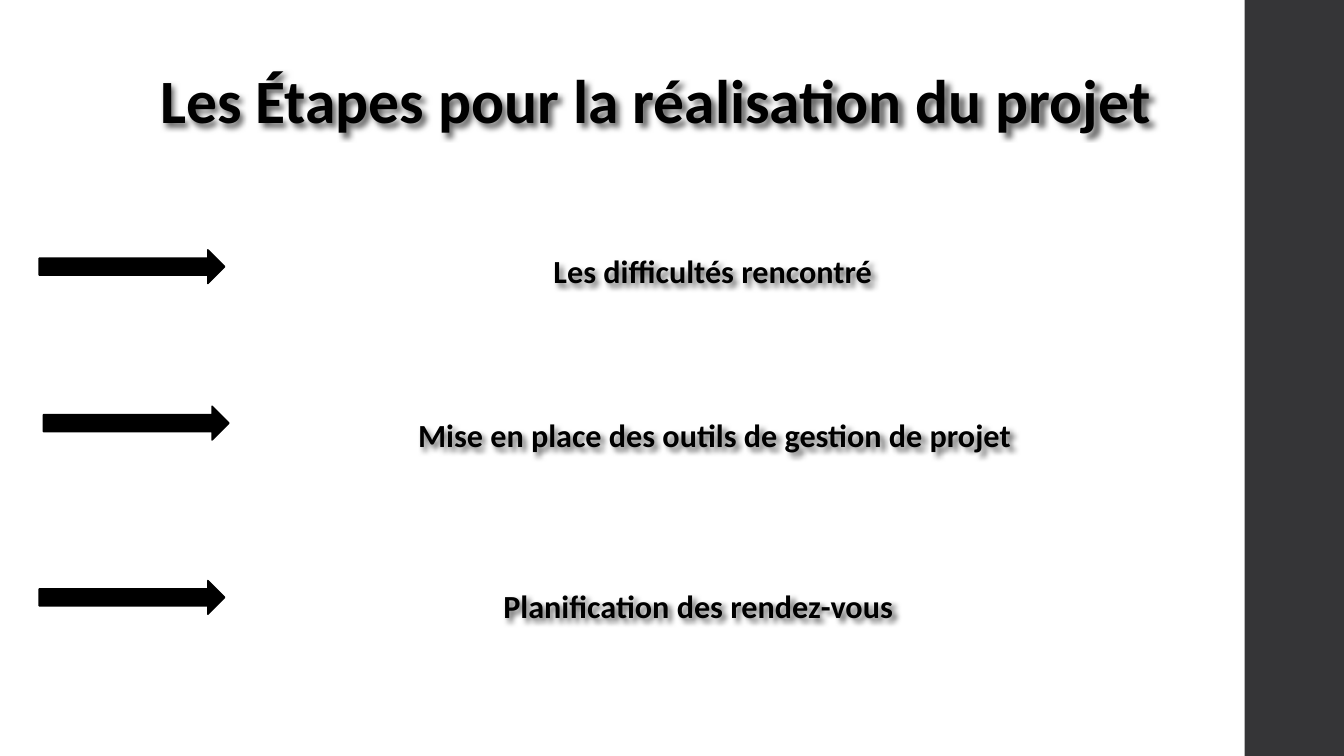
from lxml.etree import SubElement
from pptx import Presentation
from pptx.dml.color import RGBColor
from pptx.enum.shapes import MSO_SHAPE
from pptx.enum.text import MSO_ANCHOR, PP_ALIGN
from pptx.oxml.ns import qn
from pptx.util import Pt

BLACK = "000000"
STEPS = [
    ("Les difficultés rencontré", (28, 178.5), (170.6, 172.8, 674.6), 1.1),
    ("Mise en place des outils de gestion de projet", (31, 290.2), (172.1, 290.2, 674.6), 1.1),
    ("Planification des rendez-vous", (28, 414.7), (195.1, 414.7, 604.8), 1),
]


def color(value):
    return RGBColor.from_string(value)


def add_soft_shadow(box):
    effects = SubElement(box._element.spPr, qn("a:effectLst"))
    shadow = SubElement(effects, qn("a:outerShdw"), blurRad=str(Pt(4)),
                        dist=str(Pt(3)), dir="2700000", algn="tl", rotWithShape="0")
    tint = SubElement(shadow, qn("a:srgbClr"), val=BLACK)
    SubElement(tint, qn("a:alpha"), val="60000")


def add_solid(page, kind, left, top, width, height, fill):
    shape = page.shapes.add_shape(kind, Pt(left), Pt(top), Pt(width), Pt(height))
    shape.shadow.inherit = False
    shape.fill.solid()
    shape.fill.fore_color.rgb = color(fill)
    return shape


def add_label(page, text, left, top, width, height, size, inset, spacing=1.1):
    box = page.shapes.add_textbox(Pt(left), Pt(top), Pt(width), Pt(height))
    box.fill.background()
    add_soft_shadow(box)
    frame = box.text_frame
    frame.word_wrap = True
    frame.vertical_anchor = MSO_ANCHOR.TOP
    frame.margin_top = Pt(inset)
    frame.margin_left = Pt(10)
    frame.text = text
    para = frame.paragraphs[0]
    para.alignment = PP_ALIGN.CENTER
    para.line_spacing = spacing
    font = para.runs[0].font
    font.name = "Calibri"
    font.size = Pt(size)
    font.bold = True
    font.color.rgb = color(BLACK)


def add_side_band(page, left, top, width, height):
    band = add_solid(page, MSO_SHAPE.RECTANGLE, left, top, width, height, "353537")
    band.line.fill.background()


def add_step(page, text, arrow_at, label_at, spacing):
    arrow = add_solid(page, MSO_SHAPE.RIGHT_ARROW, *arrow_at, 132.5, 24, BLACK)
    arrow.line.color.rgb = color(BLACK)
    arrow.line.width = Pt(1.1)
    add_label(page, text, *label_at, 45, 23, 4, spacing)


def main():
    deck = Presentation()
    deck.slide_width = Pt(960)
    deck.slide_height = Pt(540)
    page = deck.slides.add_slide(deck.slide_layouts[6])
    add_side_band(page, 889, 0, 71, 540)
    add_label(page, "Les Étapes pour la réalisation du projet", 85, 33.1, 764.6, 40, 44, 6)
    for step in STEPS:
        add_step(page, *step)
    deck.save("out.pptx")


if __name__ == "__main__":
    main()
